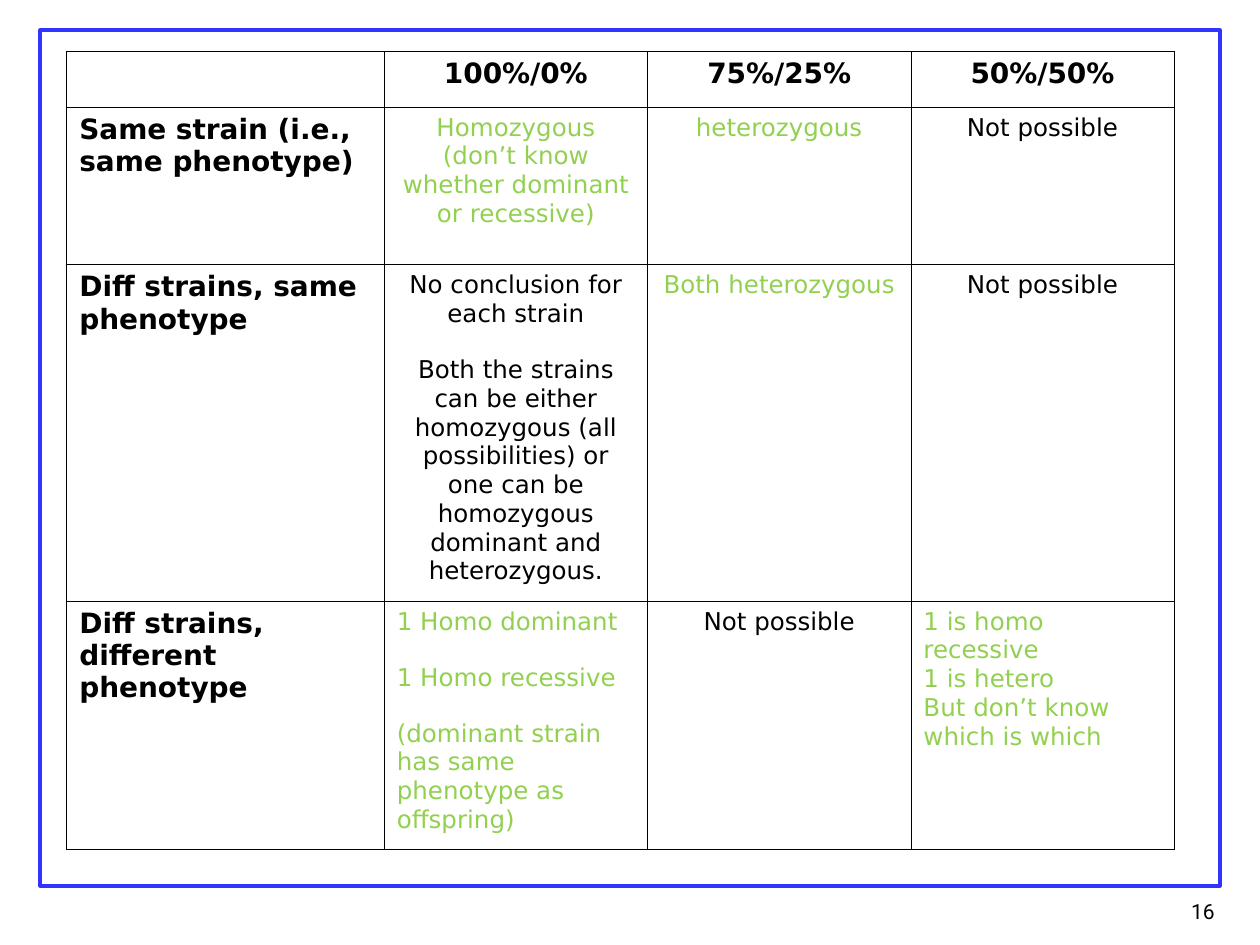
from dataclasses import dataclass
from pptx import Presentation
from pptx.dml.color import RGBColor as RGB
from pptx.enum.shapes import MSO_SHAPE as Shape
from pptx.enum.text import PP_ALIGN as Align
from pptx.oxml import parse_xml
from pptx.oxml.ns import nsdecls
from pptx.util import Inches, Pt


@dataclass(frozen=True)
class Theme:
    ink: str = "000000"
    green: str = "92D050"
    blue: str = "3333FF"
    paper: str = "FFFFFF"
    font: str = "DejaVu Sans"
    foot: str = "Roboto"
    head: float = 16
    body: float = 14
    small: float = 12
    gap: float = 15.6
    edge: float = 0.45
    frame: float = 2.25


def put(frame, text, *, font, size, color, bold=False, align=Align.LEFT, gap=0):
    frame.word_wrap = True
    for n, line in enumerate(text.split("\n")):
        para = frame.paragraphs[0] if n == 0 else frame.add_paragraph()
        para.alignment = align
        if n and gap:
            para.space_before = Pt(gap)
        para.font.size = Pt(size)
        if not line:
            continue
        run = para.add_run()
        run.text = line
        run.font.name = font
        run.font.size = Pt(size)
        run.font.bold = bold
        run.font.color.rgb = RGB.from_string(color)


class Deck:
    """Holds the theme and the current slide, and draws each kind of element."""

    def __init__(self, slide, theme):
        self.slide = slide
        self.theme = theme

    def frame(self, *box):
        rect = self.slide.shapes.add_shape(Shape.RECTANGLE, *map(Inches, box))
        rect.shadow.inherit = False
        rect.fill.background()
        rect.line.color.rgb = RGB.from_string(self.theme.blue)
        rect.line.width = Pt(self.theme.frame)

    def label(self, text, *box, **style):
        area = self.slide.shapes.add_textbox(*map(Inches, box))
        put(area.text_frame, text, **style)

    def edge(self, cell):
        props = cell._tc.get_or_add_tcPr()
        for n, side in enumerate(("lnL", "lnR", "lnT", "lnB")):
            props.insert(n, parse_xml(
                f'<a:{side} {nsdecls("a")} w="{Pt(self.theme.edge)}"><a:solidFill>'
                f'<a:srgbClr val="{self.theme.ink}"/></a:solidFill></a:{side}>'))

    def table(self, left, top, cols, rows, cells):
        size = sum(cols), sum(rows)
        grid = self.slide.shapes.add_table(
            len(rows), len(cols), *map(Inches, (left, top, *size))).table
        for col, wide in zip(grid.columns, cols):
            col.width = Inches(wide)
        for row, tall, line in zip(grid.rows, rows, cells):
            row.height = Inches(tall)
            for cell, (text, style) in zip(row.cells, line):
                cell.fill.solid()
                cell.fill.fore_color.rgb = RGB.from_string(self.theme.paper)
                self.edge(cell)
                put(cell.text_frame, text, **style)


def main():
    look = Theme()
    show = Presentation()
    show.slide_width, show.slide_height = Inches(10), Inches(7.5)
    deck = Deck(show.slides.add_slide(show.slide_layouts[6]), look)

    side = dict(font=look.font, size=look.head, color=look.ink, bold=True)
    head = side | dict(align=Align.CENTER)
    plain = dict(font=look.font, size=look.body, color=look.ink,
                 align=Align.CENTER, gap=look.gap)
    green = plain | dict(color=look.green)
    left = green | dict(align=Align.LEFT)
    tight = left | dict(gap=0)
    never = ("Not possible", plain)

    deck.label("16", 8.17, 7.08, 1.57, 0.33, font=look.foot, size=look.small,
               color=look.ink, align=Align.RIGHT)
    deck.frame(0.32, 0.24, 9.36, 6.79)
    cells = [
        [("", head), ("100%/0%", head), ("75%/25%", head), ("50%/50%", head)],
        [("Same strain (i.e., same phenotype)", side),
         ("Homozygous (don’t know whether dominant or recessive)", green),
         ("heterozygous", green), never],
        [("Diff strains, same phenotype", side),
         ("No conclusion for each strain\nBoth the strains can be either homozygous "
          "(all possibilities) or one can be homozygous dominant and heterozygous.", plain),
         ("Both heterozygous", green), never],
        [("Diff strains, different phenotype", side),
         ("1 Homo dominant\n1 Homo recessive\n"
          "(dominant strain has same phenotype as offspring)", left),
         never,
         ("1 is homo recessive\n1 is hetero\nBut don’t know which is which", tight)],
    ]
    deck.table(0.53, 0.41, [2.52] + [2.09] * 3, [0.44, 1.25, 2.67, 1.97], cells)
    show.save("out.pptx")


if __name__ == "__main__":
    main()
